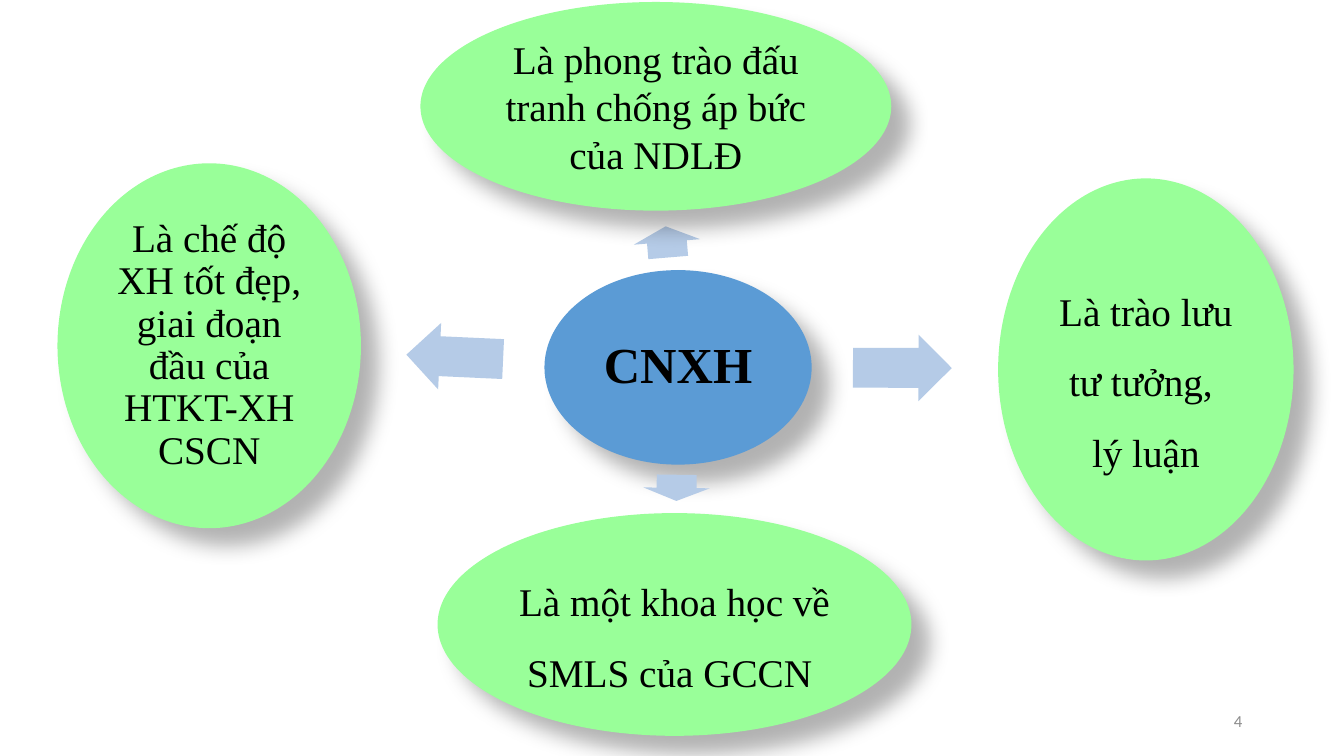
from lxml import etree
from pptx import Presentation
from pptx.dml.color import RGBColor
from pptx.enum.shapes import MSO_SHAPE
from pptx.enum.text import MSO_ANCHOR, PP_ALIGN
from pptx.oxml.ns import qn
from pptx.util import Inches, Pt

OVAL, ARROW = MSO_SHAPE.OVAL, MSO_SHAPE.RIGHT_ARROW
MIDDLE = MSO_ANCHOR.MIDDLE
CENTER, RIGHT = PP_ALIGN.CENTER, PP_ALIGN.RIGHT

# Content: hub, then each idea with its oval, line spacing and arrow
COLORS = {"hub": "5B9BD5", "idea": "99FF99", "arrow": "B5CBE7",
          "text": "000000", "number": "8C8C8C", "shadow": "000000"}
HUB = ("CNXH", (5.4, 2.68, 2.65, 1.93))
IDEAS = [
    # text, oval box, line spacing, arrow box, arrow rotation
    ("Là phong trào đấu tranh chống áp bức của NDLĐ",
     (4.17, 0.02, 4.67, 2.07), 1.0, (6.46, 2.07, 0.31, 0.66), 265.2),
    ("Là trào lưu tư tưởng, \vlý luận",
     (9.9, 1.77, 2.93, 3.79), 1.5, (8.46, 3.32, 0.98, 0.66), 0.2),
    ("Là một khoa học về SMLS của GCCN ",
     (4.34, 5.09, 4.7, 2.21), 1.5, (6.58, 4.51, 0.26, 0.66), 90.8),
    ("Là chế độ XH tốt đẹp, giai đoạn đầu của HTKT-XH CSCN",
     (0.57, 1.62, 3.01, 3.62), 0.9, (4.03, 3.21, 0.96, 0.66), 182.6),
]
PAGE_NUMBER = ("4", (9.42, 6.95, 3, 0.4))

deck = Presentation()
deck.slide_width, deck.slide_height = Inches(13.33), Inches(7.5)
page = deck.slides.add_slide(deck.slide_layouts[6])


def add_shape(kind, box, color):
    shape = page.shapes.add_shape(kind, *map(Inches, box))
    shape.shadow.inherit = False
    shape.fill.solid()
    shape.fill.fore_color.rgb = RGBColor.from_string(COLORS[color])
    shape.line.fill.background()
    return shape


def add_shadow(shape):
    effects = shape._element.spPr.find(qn("a:effectLst"))
    shadow = etree.SubElement(effects, qn("a:outerShdw"), blurRad=str(Pt(15)),
                              dist=str(Pt(18)), dir=str(45 * 60000),
                              algn="ctr", rotWithShape="0")
    color = etree.SubElement(shadow, qn("a:srgbClr"), val=COLORS["shadow"])
    etree.SubElement(color, qn("a:alpha"), val="30000")


def write(shape, text, size, font, color, align, bold=False, spacing=1.0):
    frame = shape.text_frame
    frame.word_wrap = True
    frame.vertical_anchor = MIDDLE
    para = frame.paragraphs[0]
    para.text = text
    para.alignment = align
    para.line_spacing = spacing
    para.font.size, para.font.name, para.font.bold = Pt(size), font, bold
    para.font.color.rgb = RGBColor.from_string(COLORS[color])


def add_oval(text, box, color, size, spacing, bold=False):
    oval = add_shape(OVAL, box, color)
    add_shadow(oval)
    frame = oval.text_frame
    frame.margin_left = frame.margin_right = Inches(0.04)
    frame.margin_top = frame.margin_bottom = Inches(0.04)
    write(oval, text, size, "Times New Roman", "text", CENTER, bold, spacing)


# Hub
add_oval(*HUB, "hub", 36, 0.9, bold=True)

# Arrows and ideas around the hub
for text, oval_box, spacing, arrow_box, rotation in IDEAS:
    arrow = add_shape(ARROW, arrow_box, "arrow")
    arrow.adjustments[0], arrow.adjustments[1] = 0.6, 0.5
    arrow.rotation = rotation
    add_oval(text, oval_box, "idea", 28, spacing)

# Page number
number, number_box = PAGE_NUMBER
write(page.shapes.add_textbox(*map(Inches, number_box)),
      number, 12, "Calibri", "number", RIGHT)

deck.save("out.pptx")
